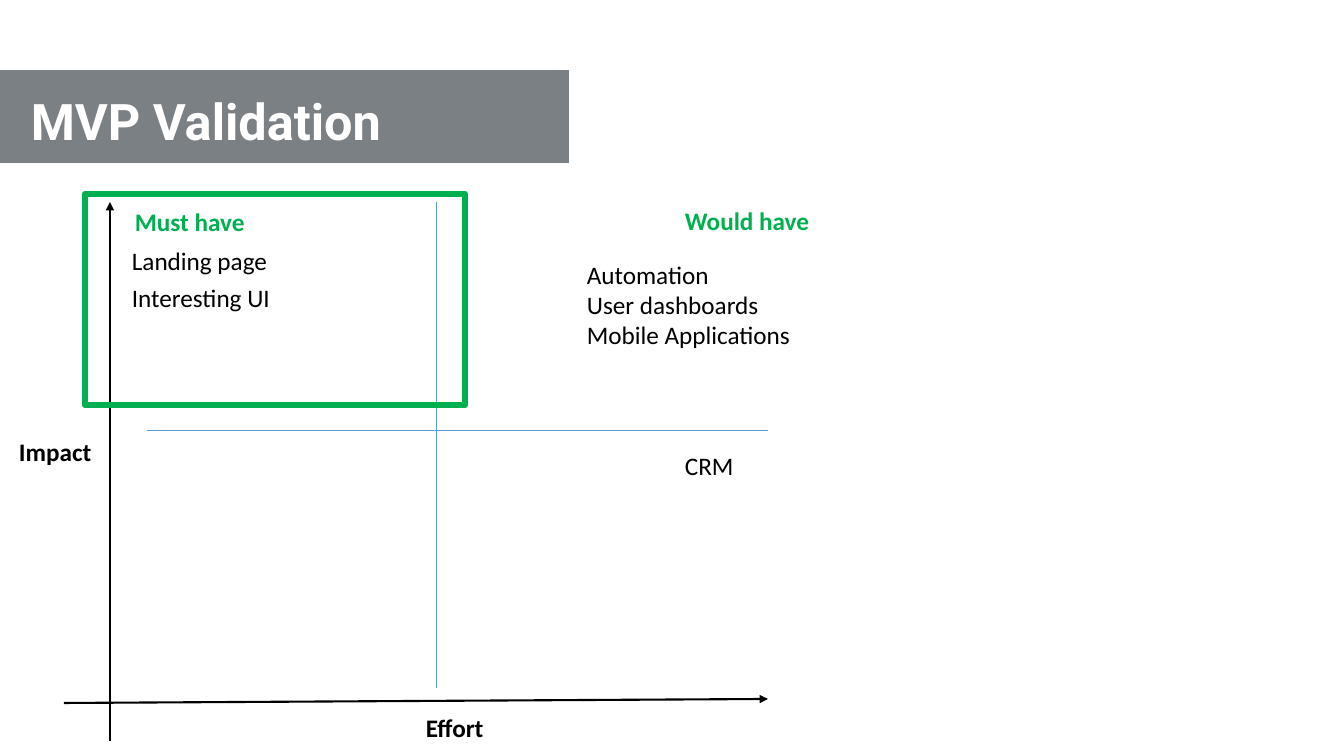
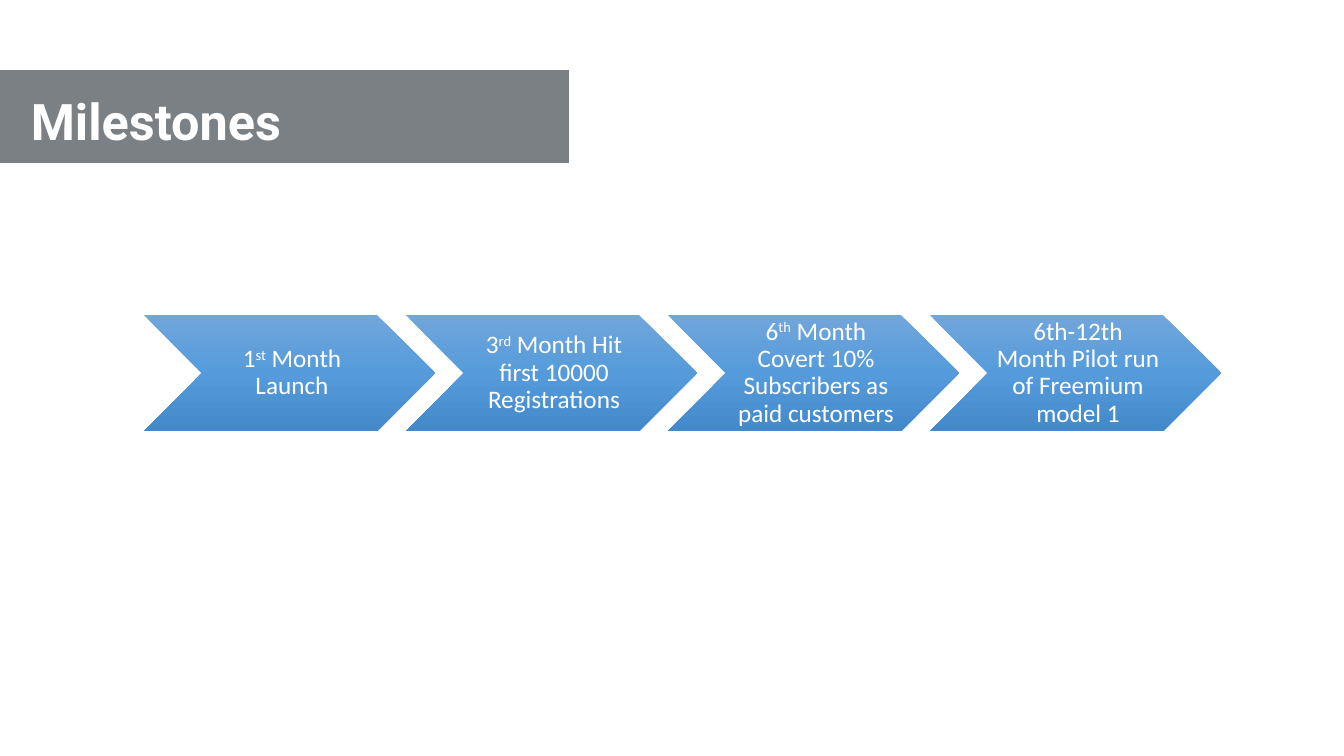
import copy

from pptx import Presentation
from pptx import util as u
from pptx.dml.color import RGBColor
from pptx.enum import shapes, text
from pptx.oxml.ns import qn
from lxml import etree

BAND, BLACK, WHITE = "242C35", "000000", "FFFFFF"
GREEN, BLUE = "00B050", "5B9BD5"
CHEVRON_STOPS = (("71A6DB", 0), ("559BDB", 0.5), ("448ACA", 1))


def px(length):
    return u.Emu(round(length * 914400 / 100.8))


def rgb(value):
    return RGBColor.from_string(value)


class Deck:
    """Holds the shared style and the slide being built."""

    def __init__(self):
        self.presentation = Presentation()
        self.presentation.slide_width = px(1344)
        self.presentation.slide_height = px(756)
        self.slide = None

    def add_slide(self, title):
        self.slide = self.presentation.slides.add_slide(self.presentation.slide_layouts[6])
        band = self.shape(shapes.MSO_SHAPE.RECTANGLE, 0, 70, 569, 93)
        band.fill.solid()
        band.fill.fore_color.rgb = rgb(BAND)
        color = band._element.spPr.find(".//" + qn("a:srgbClr"))
        etree.SubElement(color, qn("a:alpha"), val="60000")
        band.line.fill.background()
        self.label([title], 21, 85, 576, 72, color=WHITE, bold=True, size=36, font="Roboto")

    def shape(self, kind, left, top, width, height):
        shape = self.slide.shapes.add_shape(kind, px(left), px(top), px(width), px(height))
        shape.shadow.inherit = False
        return shape

    def style(self, paragraph, color, bold=False, size=18, font="Calibri"):
        paragraph.font.name = font
        paragraph.font.size = u.Pt(size)
        paragraph.font.bold = bold
        paragraph.font.color.rgb = rgb(color)

    def label(self, lines, left, top, width, height=40, color=BLACK, wrap=True, **font):
        box = self.slide.shapes.add_textbox(px(left), px(top), px(width), px(height))
        frame = box.text_frame
        frame.word_wrap = wrap
        frame.auto_size = text.MSO_AUTO_SIZE.SHAPE_TO_FIT_TEXT
        frame.text = "\n".join(lines)
        for paragraph in frame.paragraphs:
            self.style(paragraph, color, **font)

    def line(self, start, end, color, width, arrow=False):
        line = self.slide.shapes.add_connector(
            shapes.MSO_CONNECTOR.STRAIGHT, *map(px, start + end))
        line.line.color.rgb = rgb(color)
        line.line.width = u.Pt(width)
        if arrow:
            etree.SubElement(line.line._get_or_add_ln(), qn("a:tailEnd"), type="triangle")
        etree.SubElement(line._element.spPr, qn("a:effectLst"))

    def frame(self, left, top, width, height, color, line_width):
        frame = self.shape(shapes.MSO_SHAPE.RECTANGLE, left, top, width, height)
        frame.fill.background()
        frame.line.color.rgb = rgb(color)
        frame.line.width = u.Pt(line_width)

    def chevron(self, left, top, width, height, start, ordinal, *lines):
        chevron = self.shape(shapes.MSO_SHAPE.CHEVRON, left, top, width, height)
        chevron.line.fill.background()
        chevron.fill.gradient()
        chevron.fill.gradient_angle = 270
        stops = chevron._element.spPr.find(".//" + qn("a:gsLst"))
        stops.insert(1, copy.deepcopy(stops[0]))
        for stop, (color, position) in zip(chevron.fill.gradient_stops, CHEVRON_STOPS):
            stop.color.rgb = rgb(color)
            stop.position = position
        frame = chevron.text_frame
        frame.word_wrap = True
        frame.vertical_anchor = text.MSO_ANCHOR.MIDDLE
        frame.margin_left = px(8)
        frame.margin_top = frame.margin_right = frame.margin_bottom = px(3)
        paragraph = frame.paragraphs[0]
        paragraph.alignment = text.PP_ALIGN.CENTER
        paragraph.line_spacing = 0.9
        self.style(paragraph, WHITE)
        paragraph.add_run().text = start
        if ordinal:
            run = paragraph.add_run()
            run.text = ordinal
            run._r.get_or_add_rPr().set("baseline", "30000")
        for number, line in enumerate(lines):
            if number:
                paragraph.add_line_break()
            paragraph.add_run().text = line


deck = Deck()

deck.add_slide("MVP Validation")
deck.line((110, 741), (110, 202), BLACK, 1.5, arrow=True)
deck.line((64, 703), (768, 699), BLACK, 1.5, arrow=True)
deck.label(["Effort"], 416, 707, 82, bold=True)
deck.label(["Impact"], 9, 431, 110, bold=True)
deck.line((436, 202), (436, 688), BLUE, 0.5)
deck.line((147, 430), (768, 430), BLUE, 0.5)
deck.label(["Automation", "User dashboards", "Mobile Applications"], 577, 254, 239, 102)
deck.label(["Would have"], 675, 200, 178, color=GREEN, bold=True)
deck.label(["Must have"], 125, 201, 178, color=GREEN, bold=True)
deck.label(["CRM"], 675, 445, 70, wrap=False)
for row, feature in enumerate(["Landing page", "Interesting UI"]):
    deck.label([feature], 122, 240 + 37 * row, 171)
deck.frame(85, 194, 380, 211, GREEN, 4.5)

deck.add_slide("Milestones")
milestones = [
    ("1", "st", " Month", "Launch"),
    ("3", "rd", " Month Hit first 10000 Registrations"),
    ("6", "th", " Month Covert 10% Subscribers as paid customers"),
    ("6th-12th Month Pilot run of Freemium model 1", ""),
]
for step, milestone in enumerate(milestones):
    deck.chevron(144 + 262 * step, 315, 291, 116, *milestone)

deck.presentation.save("out.pptx")
